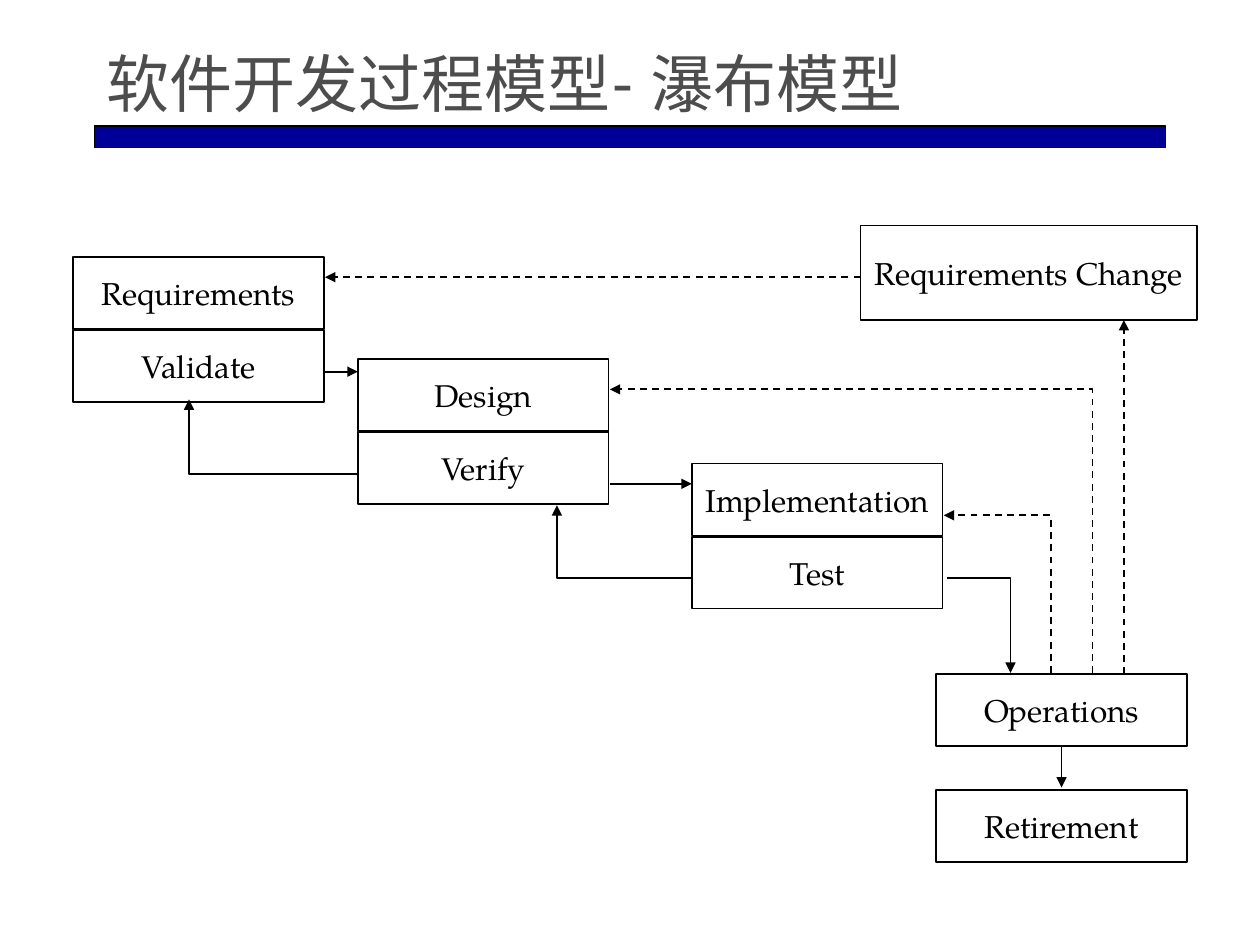
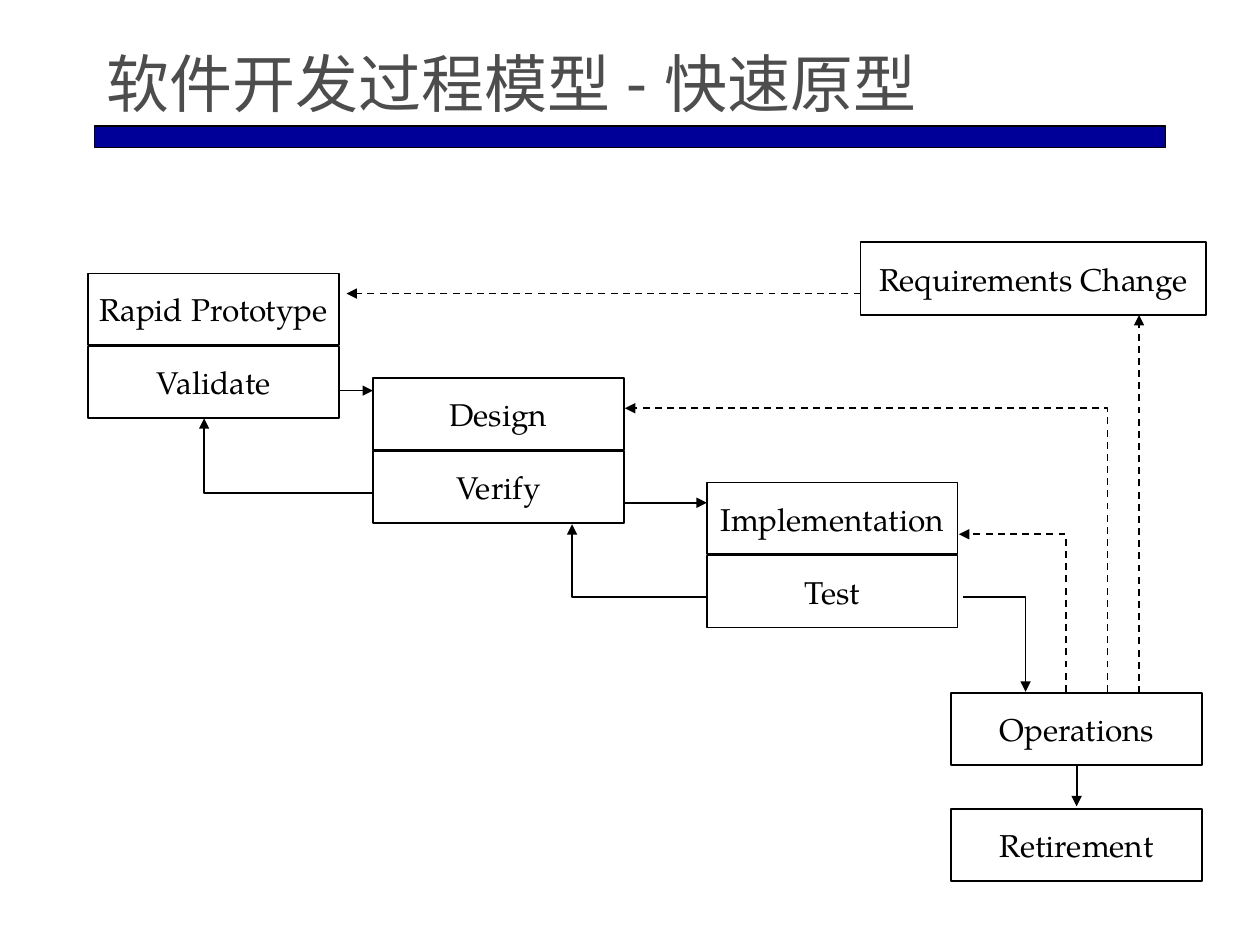
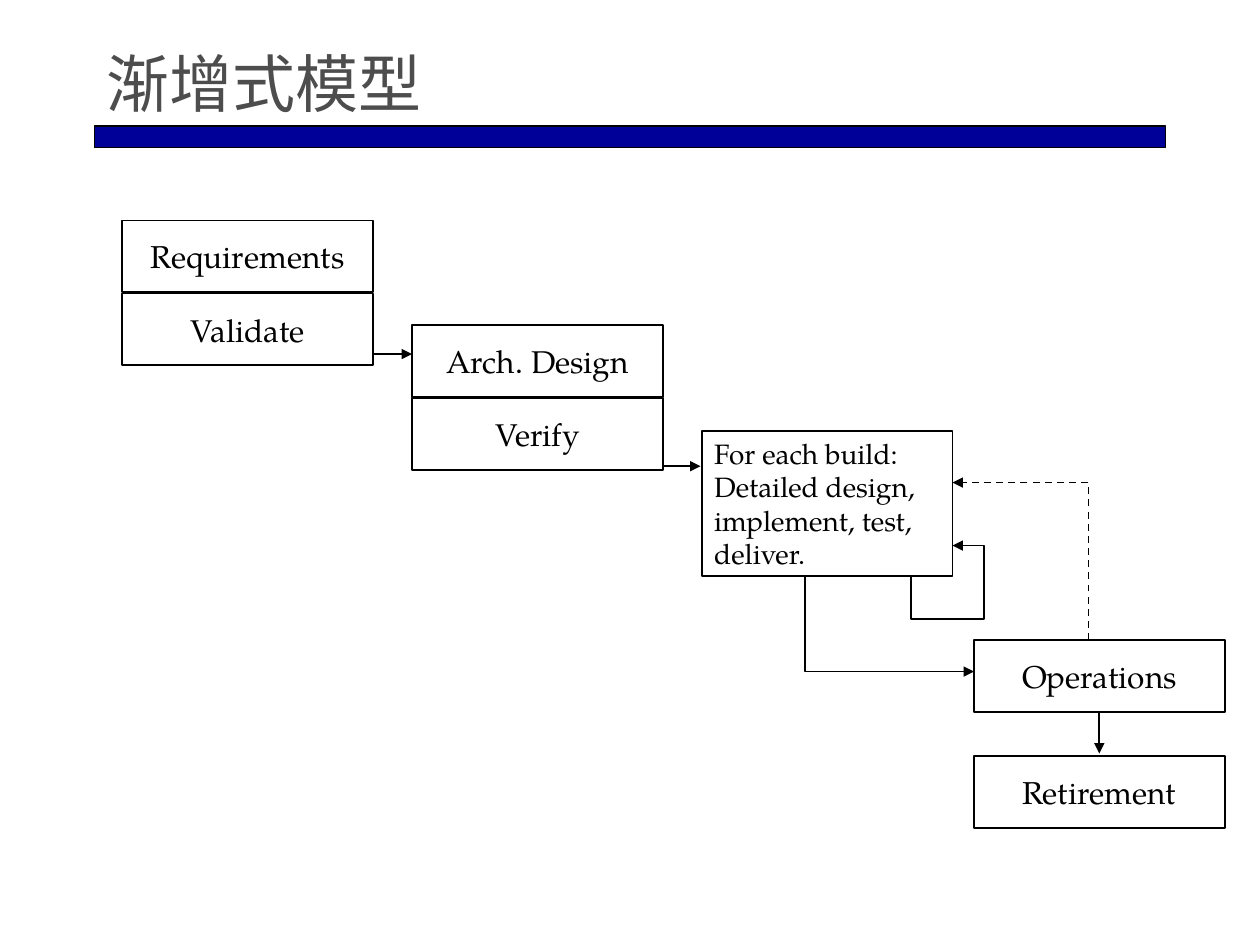
from dataclasses import dataclass

from lxml import etree
from pptx import Presentation
from pptx import util as u
from pptx.dml.color import RGBColor
from pptx.enum import dml, shapes, text
from pptx.oxml import ns


@dataclass(frozen=True)
class Theme:
    black: RGBColor = RGBColor(0, 0, 0)
    white: RGBColor = RGBColor(255, 255, 255)
    band: RGBColor = RGBColor(0, 0, 0x99)
    title: RGBColor = RGBColor(0x4D, 0x4D, 0x4D)
    title_font: str = "Lato"
    body_font: str = "TeX Gyre Pagella"
    title_size: int = 36
    box_size: int = 18
    note_size: int = 16
    line_width: float = 1
    band_line: float = 0.75


T = Theme()
BOX_W, BOX_H = 1.99, 0.57
PITCH = 0.58          # from the top of a stage to the top of its check
RETIRE_DROP = 0.92    # from the top of Operations to the top of Retirement


def apply(obj, values):
    for name, value in values.items():
        setattr(obj, name, value)


def inches(*values):
    return [u.Inches(v) for v in values]


# Text
def write(sp, lines, font, size, color, align, anchor, wrap):
    tf = sp.text_frame
    mx, my = inches(0.1, 0.05)
    apply(tf, {"word_wrap": wrap, "vertical_anchor": anchor,
               "margin_left": mx, "margin_right": mx,
               "margin_top": my, "margin_bottom": my})
    for i, line in enumerate(lines):
        p = tf.paragraphs[0] if i == 0 else tf.add_paragraph()
        p.alignment = align
        r = p.add_run()
        r.text = line
        apply(r.font, {"name": font, "size": u.Pt(size)})
        r.font.color.rgb = color


# Rectangles
def rect(s, x, y, w, h, fill, width):
    sp = s.shapes.add_shape(shapes.MSO_SHAPE.RECTANGLE, *inches(x, y, w, h))
    sp.shadow.inherit = False
    sp.fill.solid()
    sp.fill.fore_color.rgb = fill
    sp.line.color.rgb = T.black
    sp.line.width = u.Pt(width)
    return sp


def box(s, x, y, *lines, w=BOX_W, h=BOX_H, size=T.box_size,
        align=text.PP_ALIGN.CENTER):
    sp = rect(s, x, y, w, h, T.white, T.line_width)
    write(sp, lines, T.body_font, size, T.black, align,
          text.MSO_ANCHOR.MIDDLE, False)


def stage(s, x, y, name, check):
    box(s, x, y, name)
    box(s, x, y + PITCH, check)


def ending(s, x, y):
    box(s, x, y, "Operations")
    box(s, x, y + RETIRE_DROP, "Retirement")
    mid = x + BOX_W / 2
    arrow(s, (mid, y + 0.58), (mid, y + 0.9))


# Arrows: straight ones are connectors, bent ones are open outlines
def arrow(s, *points, dashed=False):
    pts = [tuple(inches(x, y)) for x, y in points]
    if len(pts) == 2:
        sp = s.shapes.add_connector(shapes.MSO_CONNECTOR.STRAIGHT,
                                    *pts[0], *pts[1])
        etree.SubElement(sp._element.spPr, ns.qn("a:effectLst"))
    else:
        fb = s.shapes.build_freeform(*pts[0])
        fb.add_line_segments(pts[1:], close=False)
        sp = fb.convert_to_shape()
        sp.shadow.inherit = False
        sp.fill.background()
    sp.line.color.rgb = T.black
    sp.line.width = u.Pt(T.line_width)
    if dashed:
        sp.line.dash_style = dml.MSO_LINE.DASH
    ln = sp._element.spPr.find(ns.qn("a:ln"))
    etree.SubElement(ln, ns.qn("a:tailEnd"), type="triangle")


# Frame shared by all slides
def titled_slide(prs, title):
    s = prs.slides.add_slide(prs.slide_layouts[6])
    rect(s, 0.75, 1, 8.5, 0.17, T.band, T.band_line)
    sp = s.shapes.add_textbox(*inches(0.75, 0.33, 8.5, 0.67))
    write(sp, [title], T.title_font, T.title_size, T.title,
          text.PP_ALIGN.LEFT, text.MSO_ANCHOR.BOTTOM, True)
    return s


# Three stages with feedback, moved as a whole by dx, dy
def staircase(s, dx, dy, first, first_y, change, change_y, change_end):
    def at(*points):
        return [(x + dx, y + dy) for x, y in points]

    stage(s, 0.58 + dx, first_y, first, "Validate")
    stage(s, 2.84 + dx, 2.85 + dy, "Design", "Verify")
    stage(s, 5.49 + dx, 3.68 + dy, "Implementation", "Test")
    ending(s, 7.43 + dx, 5.35 + dy)
    x, y, w, h = change
    box(s, x, y, "Requirements Change", w=w, h=h)

    forward = [[(2.58, 2.95), (2.84, 2.95)],
               [(4.84, 3.84), (5.49, 3.84)],
               [(7.52, 4.59), (8.02, 4.59), (8.02, 5.34)]]
    back = [[(2.85, 3.76), (1.5, 3.76), (1.5, 3.17)],
            [(5.5, 4.59), (4.42, 4.59), (4.42, 4.01)]]
    for points in forward + back:
        arrow(s, *at(*points))

    maintenance = [[(8.67, 5.34), (8.67, 3.09), (4.84, 3.09)],
                   [(8.34, 5.34), (8.34, 4.09), (7.49, 4.09)]]
    for points in maintenance:
        arrow(s, *at(*points), dashed=True)
    arrow(s, (8.92 + dx, 5.35 + dy), (8.92 + dx, y + h), dashed=True)
    arrow(s, (x, change_y), (change_end, change_y), dashed=True)


def incremental(s):
    box(s, 5.57, 3.42, "For each build:", "Detailed design,",
        "implement, test,", "deliver.", h=1.15, size=T.note_size,
        align=text.PP_ALIGN.LEFT)
    stage(s, 0.97, 1.75, "Requirements", "Validate")
    stage(s, 3.27, 2.58, "Arch. Design", "Verify")
    ending(s, 7.73, 5.08)
    arrow(s, (2.96, 2.81), (3.27, 2.81))
    arrow(s, (5.26, 3.7), (5.56, 3.7))
    arrow(s, (6.39, 4.58), (6.39, 5.33), (7.73, 5.33))
    arrow(s, (7.23, 4.58), (7.23, 4.91), (7.81, 4.91), (7.81, 4.33),
          (7.56, 4.33))
    arrow(s, (8.64, 5.08), (8.64, 3.83), (7.56, 3.83), dashed=True)


def main():
    prs = Presentation()
    apply(prs, {"slide_width": u.Inches(10), "slide_height": u.Inches(7.5)})

    s = titled_slide(prs, "软件开发过程模型- 瀑布模型")
    staircase(s, 0, 0, "Requirements", 2.04,
              (6.83, 1.79, 2.67, 0.75), 2.2, 2.58)

    s = titled_slide(prs, "软件开发过程模型 - 快速原型")
    staircase(s, 0.12, 0.15, "Rapid Prototype", 2.17,
              (6.83, 1.92, 2.74, 0.58), 2.33, 2.75)

    incremental(titled_slide(prs, "渐增式模型"))
    prs.save("out.pptx")


if __name__ == "__main__":
    main()
